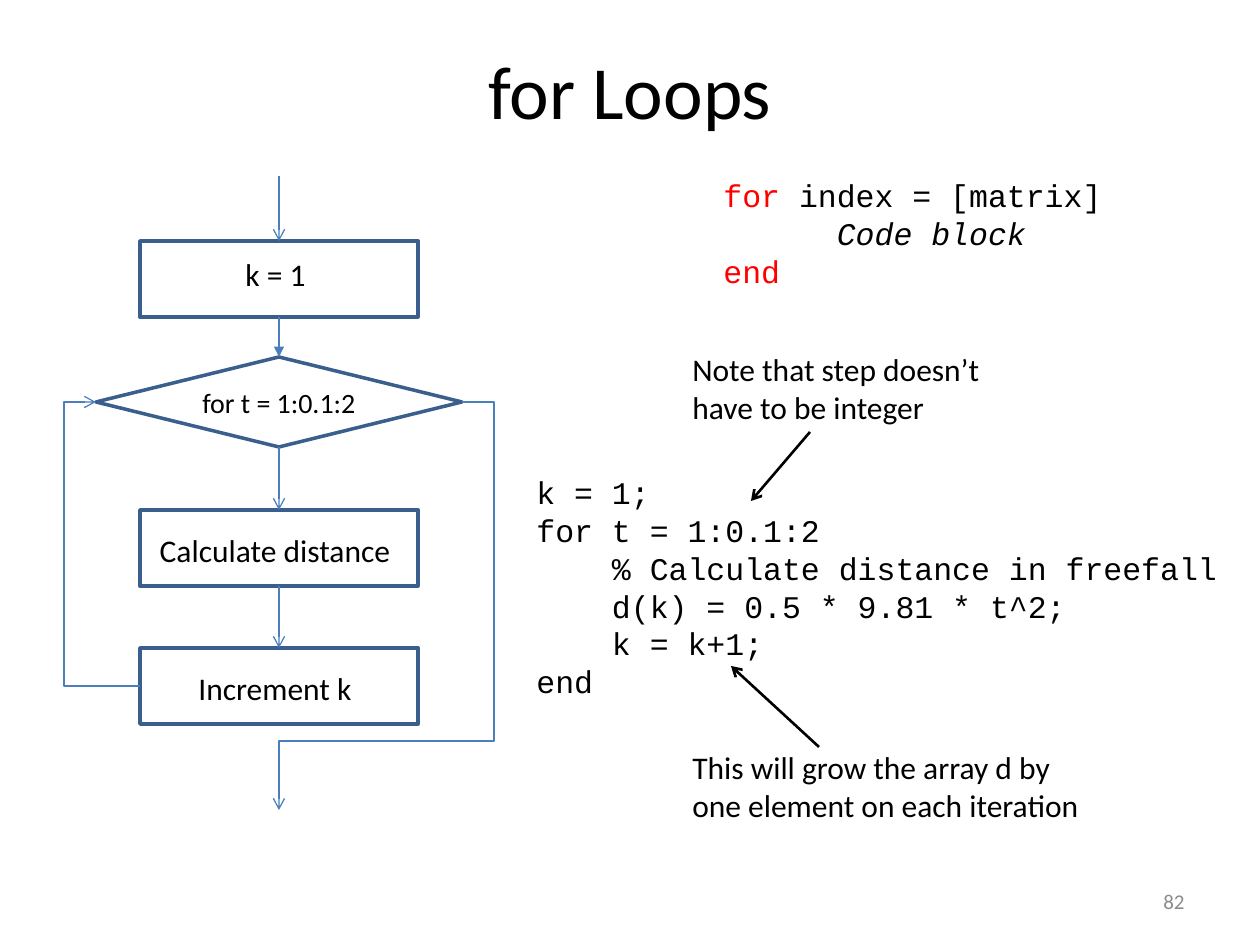
from lxml.etree import SubElement
from pptx import Presentation
from pptx.dml.color import RGBColor
from pptx.enum.shapes import MSO_CONNECTOR, MSO_SHAPE
from pptx.enum.text import MSO_ANCHOR, PP_ALIGN
from pptx.oxml.ns import qn
from pptx.util import Inches, Pt

PX_PER_INCH = 126
BLACK = RGBColor(0x00, 0x00, 0x00)
RED = RGBColor(0xFF, 0x00, 0x00)
GREY = RGBColor(0x8C, 0x8C, 0x8C)
OUTLINE = RGBColor(0x3A, 0x5F, 0x8C)
FLOW = RGBColor(0x4B, 0x7E, 0xBC)
SANS, MONO = "Calibri", "Courier New"
TOP, LEFT, BOTTOM, RIGHT = range(4)


def px(*lengths):
    return [Inches(length / PX_PER_INCH) for length in lengths]


def add_run(paragraph, text, size=18, font=SANS, color=BLACK, italic=False):
    run = paragraph.add_run()
    run.text = text
    run.font.size = Pt(size)
    run.font.name = font
    run.font.color.rgb = color
    run.font.italic = italic


def add_text(slide, box, lines, align=PP_ALIGN.LEFT, anchor=MSO_ANCHOR.TOP, wrap=True):
    """Each line is a list of (text, run options) pairs."""
    frame = slide.shapes.add_textbox(*px(*box)).text_frame
    frame.word_wrap = wrap
    frame.vertical_anchor = anchor
    for number, line in enumerate(lines):
        paragraph = frame.add_paragraph() if number else frame.paragraphs[0]
        paragraph.alignment = align
        for text, options in line:
            add_run(paragraph, text, **options)


def add_node(slide, kind, box):
    node = slide.shapes.add_shape(kind, *px(*box))
    node.shadow.inherit = False
    node.fill.background()
    node.line.color.rgb = OUTLINE
    node.line.width = Pt(2)
    return node


def add_arrow(slide, start, end, color=FLOW, width=0.75, head="arrow",
              kind=MSO_CONNECTOR.STRAIGHT):
    arrow = slide.shapes.add_connector(kind, *px(*start, *end))
    arrow.line.color.rgb = color
    arrow.line.width = Pt(width)
    SubElement(arrow.line._get_or_add_ln(), qn("a:tailEnd"), type=head)
    SubElement(arrow._element.spPr, qn("a:effectLst"))
    return arrow


def add_elbow(slide, start, end, preset, bends):
    """Bends are fractions of the way from start to end."""
    elbow = add_arrow(slide, start, end, kind=MSO_CONNECTOR.ELBOW)
    geometry = elbow._element.spPr.find(qn("a:prstGeom"))
    geometry.set("prst", preset)
    adjustments = geometry.find(qn("a:avLst"))
    for number, bend in enumerate(bends, 1):
        SubElement(adjustments, qn("a:gd"), name=f"adj{number}",
                   fmla=f"val {round(bend * 100000)}")


def add_flowchart(slide, left, top, width, height):
    axis = left + width // 2
    step_width, step_height = 278, 76
    step_left = axis - step_width // 2
    test_width, test_height = 366, 90
    test_left, test_top = axis - test_width // 2, top + 181
    test_middle = test_top + test_height // 2

    steps = []
    for label, offset, label_offset, label_width in (
            ("k = 1", 65, 8, 87),
            ("Calculate distance", 334, 15, 258),
            ("Increment k", 472, 15, 180)):
        steps.append(add_node(slide, MSO_SHAPE.FLOWCHART_PROCESS,
                              (step_left, top + offset, step_width, step_height)))
        add_text(slide, (axis - 4 - label_width // 2, top + offset + label_offset,
                         label_width, 50),
                 [[(label, {})]], PP_ALIGN.CENTER, wrap=False)
    initialise, calculate, increment = steps

    test = add_node(slide, MSO_SHAPE.FLOWCHART_DECISION,
                    (test_left, test_top, test_width, test_height))
    test.text_frame.word_wrap = False
    test.text_frame.vertical_anchor = MSO_ANCHOR.MIDDLE
    condition = test.text_frame.paragraphs[0]
    condition.alignment = PP_ALIGN.CENTER
    add_run(condition, "for t = 1:0.1:2", size=16)

    entry = add_arrow(slide, (axis, top), (axis, top + 65))
    entry.end_connect(initialise, TOP)
    for source, target, head in ((initialise, test, "triangle"),
                                 (test, calculate, "arrow"),
                                 (calculate, increment, "arrow")):
        link = add_arrow(slide, (axis, top), (axis, top + 65), head=head)
        link.begin_connect(source, BOTTOM)
        link.end_connect(target, TOP)

    add_elbow(slide, (step_left, top + 472 + step_height // 2), (test_left, test_middle),
              "bentConnector3", [(left - step_left) / (test_left - step_left)])

    test_right, bottom, turn = test_left + test_width, top + height, top + 565
    add_elbow(slide, (test_right, test_middle), (axis, bottom), "bentConnector4",
              [(left + width - test_right) / (axis - test_right),
               (turn - test_middle) / (bottom - test_middle)])


def add_syntax(slide, box):
    code, keyword = {"font": MONO}, {"font": MONO, "color": RED}
    add_text(slide, box, [
        [("for", keyword), (" index = [matrix]", code)],
        [("      ", code), ("Code block", {"font": MONO, "italic": True})],
        [("end", keyword)],
    ])


def add_example(slide, left, top, width, height):
    """Code listing with a note above and a note below."""
    code = (
        "k = 1;",
        "for t = 1:0.1:2",
        "    % Calculate distance in freefall",
        "    d(k) = 0.5 * 9.81 * t^2;",
        "    k = k+1;",
        "end",
    )
    add_text(slide, (left, top + 123, width, 280),
             [[(line, {"font": MONO})] for line in code])
    for note, offset, note_width, start, end in (
            ("Note that step doesn’t have to be integer",
             0, 377, (286, 88), (227, 157)),
            ("This will grow the array d by one element on each iteration",
             height - 89, 427, (295, 403), (207, 322))):
        add_text(slide, (left + 156, top + offset, note_width, 89), [[(note, {})]])
        add_arrow(slide, (left + start[0], top + start[1]),
                  (left + end[0], top + end[1]), BLACK, 1.5)


def main():
    deck = Presentation()
    deck.slide_width, deck.slide_height = px(1260, 945)
    slide = deck.slides.add_slide(deck.slide_layouts[6])
    add_text(slide, (63, 38, 1134, 97), [[("for Loops", {"size": 42.9})]],
             PP_ALIGN.CENTER)
    add_flowchart(slide, 64, 176, 430, 634)
    add_syntax(slide, (711, 170, 486, 127))
    add_example(slide, 524, 344, 735, 487)
    add_text(slide, (903, 876, 294, 50), [[("82", {"size": 12, "color": GREY})]],
             PP_ALIGN.RIGHT, MSO_ANCHOR.MIDDLE)
    deck.save("out.pptx")


if __name__ == "__main__":
    main()
